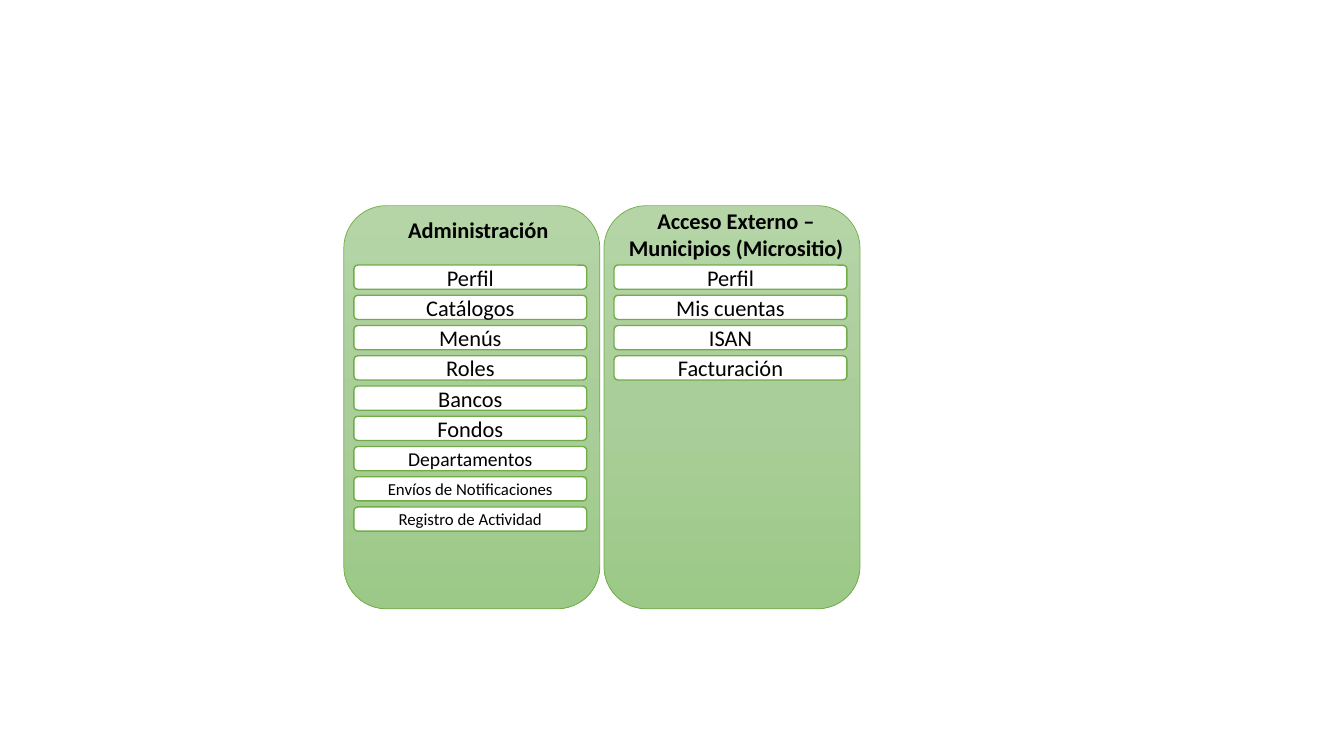
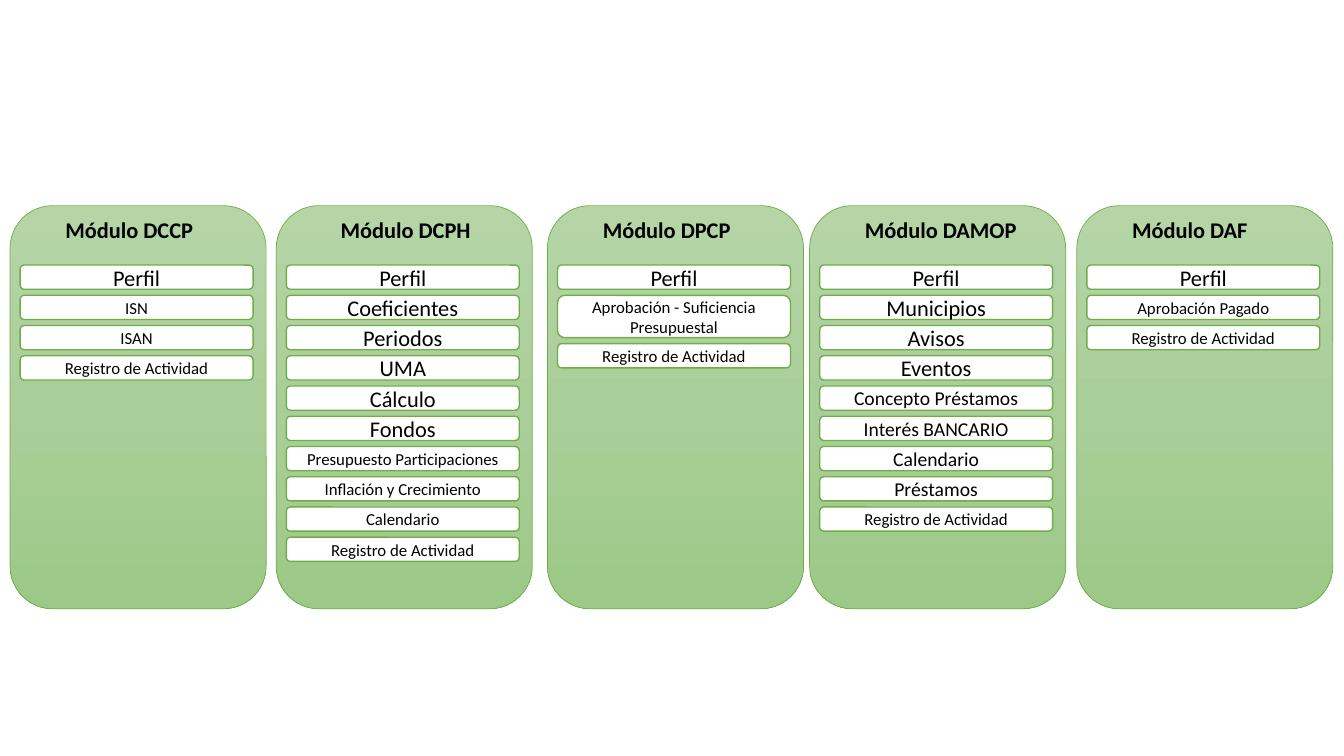
"""Build two slides of module columns, each a green panel with a heading and menu entries."""
from copy import deepcopy

from pptx import Presentation
from pptx.dml.color import RGBColor
from pptx.enum.shapes import MSO_SHAPE
from pptx.enum.text import MSO_ANCHOR, MSO_AUTO_SIZE, PP_ALIGN
from pptx.oxml.ns import qn
from pptx.util import Emu, Pt

ROUNDED = MSO_SHAPE.ROUNDED_RECTANGLE
MIDDLE, TOP = MSO_ANCHOR.MIDDLE, MSO_ANCHOR.TOP
CENTER, LEFT = PP_ALIGN.CENTER, PP_ALIGN.LEFT
GROW = MSO_AUTO_SIZE.SHAPE_TO_FIT_TEXT

PX = 9144
FONT, BLACK, WHITE, GREEN = "Calibri", "000000", "FFFFFF", "70AD47"
PANEL_STOPS = [(0, "B5D5A7"), (0.5, "AACE9A"), (1, "9CC987")]
PANEL_TOP, PANEL_WIDTH, PANEL_HEIGHT = 204, 254, 400
ENTRY_TOP, ENTRY_INSET, ENTRY_WIDTH, ENTRY_HEIGHT, ENTRY_GAP = 263, 10, 231, 24, 6
TALL_ENTRIES = {"Aprobación - Suficiencia Presupuestal": 42}

HEADING_LINE = {"word_wrap": False, "auto_size": GROW, "vertical_anchor": TOP}
HEADING_WRAPPED = {**HEADING_LINE, "word_wrap": True}
ENTRY_FRAME = {"word_wrap": True, "vertical_anchor": MIDDLE}

ACTIVITY = ("Registro de Actividad", 12)
SLIDES = [
    [
        (341, "Administración", (54, 210, 161, 37), HEADING_LINE, LEFT, [
            ("Perfil", 16), ("Catálogos", 16), ("Menús", 16), ("Roles", 16),
            ("Bancos", 16), ("Fondos", 16), ("Departamentos", 14),
            ("Envíos de Notificaciones", 12), ACTIVITY]),
        (599, "Acceso Externo – Municipios (Micrositio)", (7, 201, 248, 64),
         HEADING_WRAPPED, CENTER, [
            ("Perfil", 16), ("Mis cuentas", 16), ("ISAN", 16), ("Facturación", 16)]),
    ],
    [
        (10, "Módulo DCCP", (45, 210, 149, 37), HEADING_LINE, LEFT, [
            ("Perfil", 16), ("ISN", 12), ("ISAN", 12), ACTIVITY]),
        (274, "Módulo DCPH", (54, 210, 151, 37), HEADING_LINE, LEFT, [
            ("Perfil", 16), ("Coeficientes", 16), ("Periodos", 16), ("UMA", 16),
            ("Cálculo", 16), ("Fondos", 16), ("Presupuesto Participaciones", 12),
            ("Inflación y Crecimiento", 12), ("Calendario", 12), ACTIVITY]),
        (543, "Módulo DPCP", (45, 210, 149, 37), HEADING_LINE, LEFT, [
            ("Perfil", 16), ("Aprobación - Suficiencia Presupuestal", 12), ACTIVITY]),
        (803, "Módulo DAMOP", (45, 210, 173, 37), HEADING_LINE, LEFT, [
            ("Perfil", 16), ("Municipios", 16), ("Avisos", 16), ("Eventos", 16),
            ("Concepto Préstamos", 14), ("Interés BANCARIO", 14), ("Calendario", 14),
            ("Préstamos", 14), ACTIVITY]),
        (1068, "Módulo DAF", (45, 210, 136, 37), HEADING_LINE, LEFT, [
            ("Perfil", 16), ("Aprobación Pagado", 12), ACTIVITY]),
    ],
]


def color(hex_code):
    return RGBColor.from_string(hex_code)


def write(shape, text, size, bold, align, frame_format):
    frame = shape.text_frame
    for attribute, value in frame_format.items():
        setattr(frame, attribute, value)
    paragraph = frame.paragraphs[0]
    paragraph.alignment = align
    run = paragraph.add_run()
    run.text = text
    for attribute, value in {"name": FONT, "size": Pt(size), "bold": bold}.items():
        setattr(run.font, attribute, value)
    run.font.color.rgb = color(BLACK)


deck = Presentation()
deck.slide_width, deck.slide_height = Emu(1333 * PX), Emu(750 * PX)

for columns in SLIDES:
    slide = deck.slides.add_slide(deck.slide_layouts[6])
    for left, heading, (indent, top, width, height), heading_frame, align, entries in columns:
        column = slide.shapes.add_group_shape().shapes

        panel = column.add_shape(
            ROUNDED, left * PX, PANEL_TOP * PX, PANEL_WIDTH * PX, PANEL_HEIGHT * PX)
        panel.shadow.inherit = False
        panel.line.color.rgb = color(GREEN)
        panel.line.width = Pt(0.5)
        panel.fill.gradient()
        panel.fill.gradient_angle = 270
        stop_list = next(panel.element.iter(qn("a:gsLst")))
        stop_list.insert(1, deepcopy(stop_list[0]))
        for stop, (position, shade) in zip(panel.fill.gradient_stops, PANEL_STOPS):
            stop.position = position
            stop.color.rgb = color(shade)

        title = column.add_textbox((left + indent) * PX, top * PX, width * PX, height * PX)
        write(title, heading, 16, True, align, heading_frame)

        entry_top = ENTRY_TOP
        for label, size in entries:
            entry_height = TALL_ENTRIES.get(label, ENTRY_HEIGHT)
            entry = column.add_shape(
                ROUNDED, (left + ENTRY_INSET) * PX, entry_top * PX,
                ENTRY_WIDTH * PX, entry_height * PX)
            entry.shadow.inherit = False
            entry.fill.solid()
            entry.fill.fore_color.rgb = color(WHITE)
            entry.line.color.rgb = color(GREEN)
            entry.line.width = Pt(1)
            write(entry, label, size, False, CENTER, ENTRY_FRAME)
            entry_top += entry_height + ENTRY_GAP

deck.save("out.pptx")
